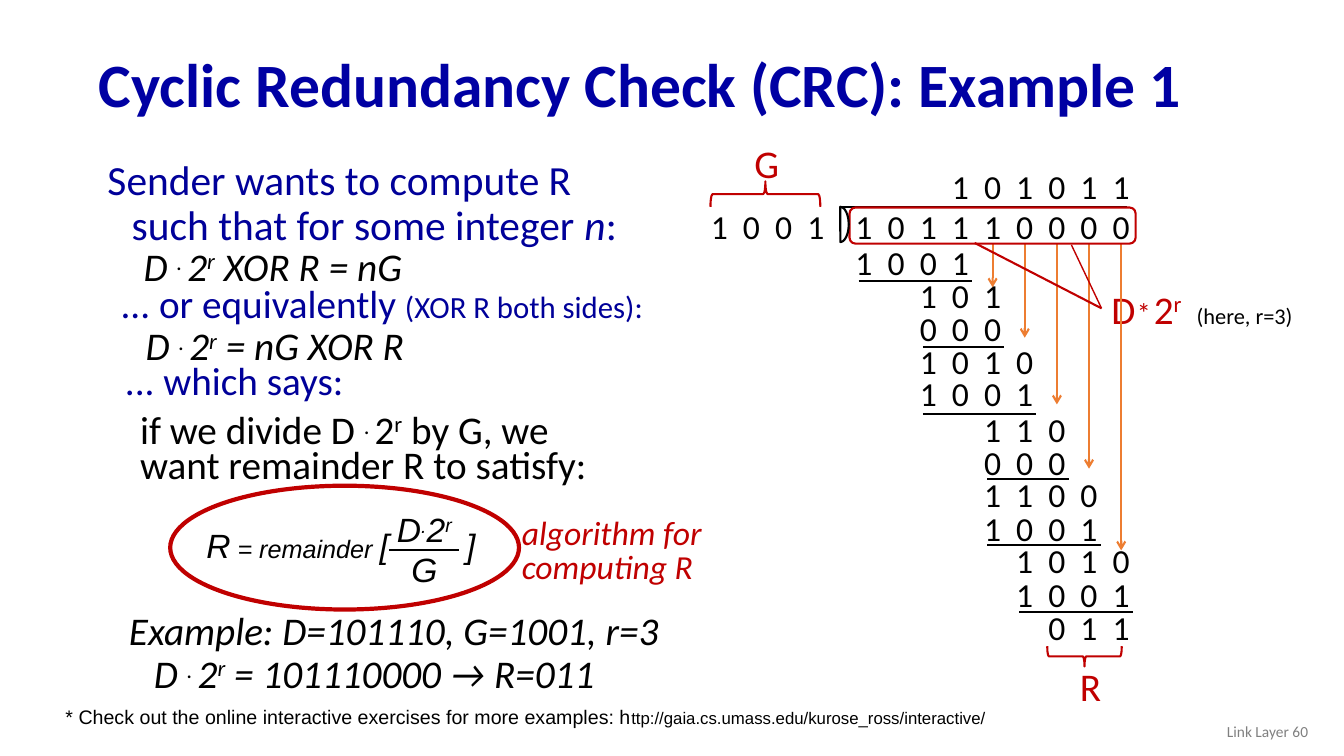
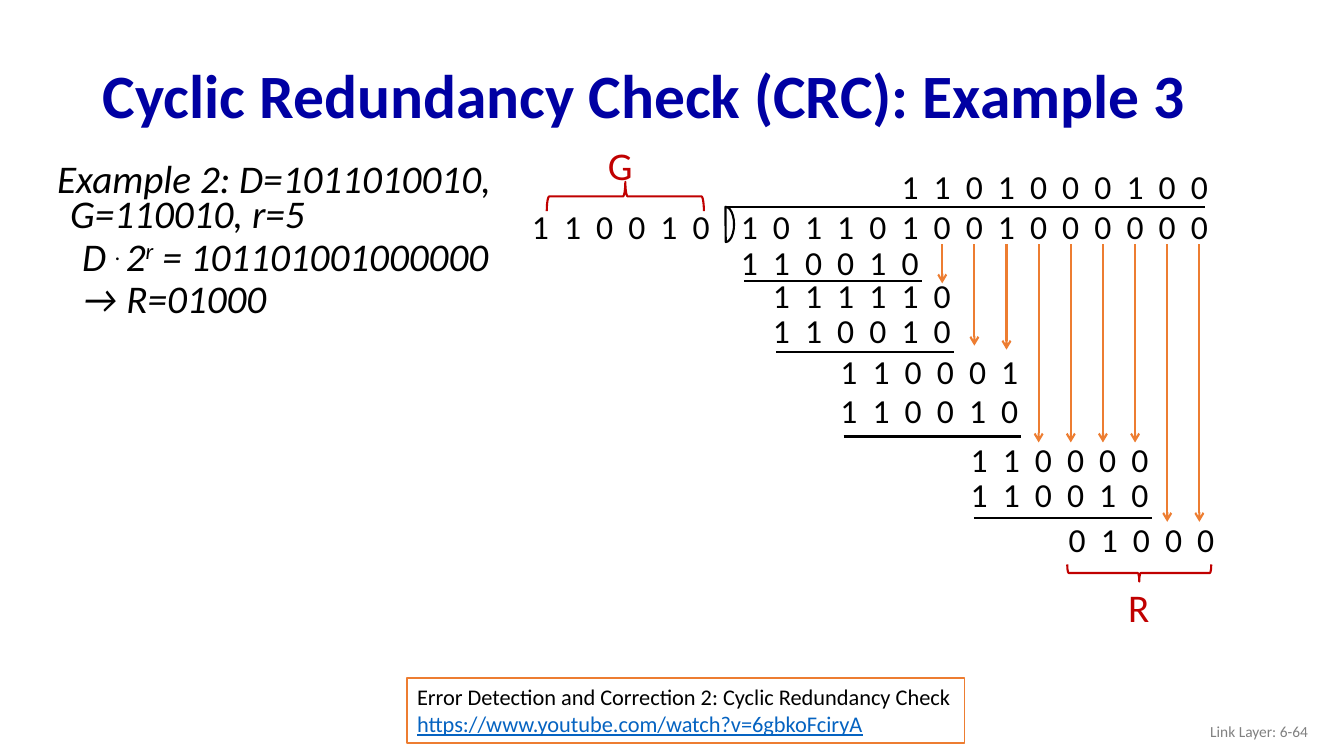
from lxml import etree
from pptx import Presentation
from pptx.dml.color import RGBColor as RGB
from pptx.enum.shapes import MSO_CONNECTOR as LINE, MSO_SHAPE as SHAPE
from pptx.enum.text import MSO_ANCHOR as ANCHOR, MSO_AUTO_SIZE as AUTO, PP_ALIGN as ALIGN
from pptx.oxml.ns import qn
from pptx.util import Cm, Pt

COLORS = {"title": "0000A3", "navy": "000099", "black": "000000", "red": "C00000",
          "orange": "ED7D31", "grey": "808080", "link": "0563C1", "white": "FFFFFF"}
RUN = {"size": 28, "name": "Calibri", "bold": False, "italic": False,
       "underline": False, "color": "black", "base": 0}
PITCH = 0.81          # distance between neighbouring bits
BIT_WIDTH = 0.43
BITS_TOP = 5.19       # row of divisor and dividend
BAR_Y = 5.21          # line above the dividend


def write(shape, paras, inset=None, anchor=ANCHOR.TOP, **base):
    """Fill a shape with paragraphs given as (runs, paragraph format)."""
    tf = shape.text_frame
    tf.word_wrap, tf.auto_size, tf.vertical_anchor = True, AUTO.NONE, anchor
    if inset is not None:
        for side in ("left", "top", "right", "bottom"):
            setattr(tf, f"margin_{side}", Cm(inset))
    for i, (runs, fmt) in enumerate(paras):
        p = tf.paragraphs[0] if i == 0 else tf.add_paragraph()
        pPr = p._p.get_or_add_pPr()
        for key, name in (("mar", "marL"), ("ind", "indent")):
            if key in fmt:
                pPr.set(name, str(Cm(fmt[key])))
        if "tabs" in fmt:
            tabs = etree.SubElement(pPr, qn("a:tabLst"))
            for pos in fmt["tabs"]:
                etree.SubElement(tabs, qn("a:tab"), pos=str(Cm(pos)), algn="l")
        p.alignment = fmt.get("align", ALIGN.LEFT)
        p.line_spacing = fmt.get("ls", 1.0)
        p.space_before = Pt(fmt.get("sb", 0))
        for text, change in [(runs, {})] if isinstance(runs, str) else runs:
            r = p.add_run()
            r.text = text
            style = {**RUN, **base, **change}
            for key in ("name", "bold", "italic", "underline"):
                setattr(r.font, key, style[key])
            r.font.size = Pt(style["size"])
            r.font.color.rgb = RGB.from_string(COLORS[style["color"]])
            if style["base"]:
                r._r.get_or_add_rPr().set("baseline", str(style["base"] * 1000))


def draw_line(s, x1, y1, x2, y2, color="black", width=1.5, arrow=False):
    c = s.shapes.add_connector(LINE.STRAIGHT, Cm(x1), Cm(y1), Cm(x2), Cm(y2))
    c.line.color.rgb = RGB.from_string(COLORS[color])
    c.line.width = Pt(width)
    if arrow:
        etree.SubElement(c.line._get_or_add_ln(), qn("a:tailEnd"), type="arrow")
    etree.SubElement(c._element.spPr, qn("a:effectLst"))


# Contents of the long divisions: rows are (column, top, bits, y of rule below),
# braces are (centre x, centre y, span, depth, rotation, label, label x, label top)
DIVISIONS = [
    {"title": "Cyclic Redundancy Check (CRC): Example 1", "title_at": (2.24, 0.97),
     "footer": "Link Layer 60", "left": 21.56,
     "divisor": "1001", "dividend": "101110000",
     "rows": [(3, 4.17, "101011", None),
              (0, 6.1, "1001", 7.09), (2, 6.93, "101", None),
              (2, 7.77, "000", 8.74), (2, 8.59, "1010", None),
              (2, 9.4, "1001", 10.44), (4, 10.31, "110", None),
              (4, 11.13, "000", 12.07), (4, 11.94, "1100", None),
              (4, 12.8, "1001", 13.74), (5, 13.61, "1010", None),
              (5, 14.45, "1001", 15.42), (6, 15.29, "011", None)],
     "first_arrow": 4, "arrow_ends": [7.24, 8.51, 10.19, 11.81, 13.87],
     "braces": [(19.29, 4.89, 2.77, 0.64, 270, "G", 19.32, 3.38),
                (27.33, 16.54, 1.88, 0.51, 90, "R", 27.48, 16.56)]},
    {"title": "Cyclic Redundancy Check (CRC): Example 3", "title_at": (2.34, 1.24),
     "footer": "Link Layer: 6-64", "left": 18.67,
     "divisor": "110010", "dividend": "101101001000000",
     "rows": [(5, 4.17, "1101000100", None),
              (0, 6.1, "110010", 7.09), (1, 6.93, "111110", None),
              (1, 7.82, "110010", 8.86), (3.1, 8.84, "110001", None),
              (3.1, 9.83, "110010", 11), (7.15, 11.07, "110000", None),
              (7.15, 11.94, "110010", 13.06), (10.2, 13.08, "01000", None)],
     "first_arrow": 6,
     "arrow_ends": [7.14, 8.71, 8.81] + [11.15] * 4 + [13.15] * 2,
     "braces": [(15.76, 4.95, 3.96, 0.74, 270, "G", 15.63, 3.43),
                (28.71, 14.44, 3.63, 0.43, 90, "R", 28.7, 14.58)]},
]

# Left-hand texts: (box, paragraphs, run format)
D_2R = [("D ", {}), (". ", {"base": 26}), ("2", {}), ("r", {"base": 30})]
ITALIC_D_2R = [(t, {**f, "color": "black", "italic": True, "size": 28}) for t, f in D_2R]
BLACK_ITALIC = {"color": "black", "italic": True, "size": 28}
HEAD = {"mar": 0.99, "ind": -0.33, "ls": 0.75}
FORMULA = {"mar": 1.93, "ind": -0.64, "ls": 0.75, "sb": 5}
TEXTS = [
    [((2.08, 3.91, 14.2, 3.71),
      [([("Sender wants to compute R such that for some integer ", {}),
         ("n", {"italic": True}), (":", {})], {"mar": 0.99, "ind": -0.61, "ls": 0.9}),
       (ITALIC_D_2R + [(" XOR R = nG", BLACK_ITALIC)], {**FORMULA, "ls": 0.65})],
      {"size": 29.6, "color": "navy"}),
     ((2.13, 7.19, 14.58, 2.44),
      [([("... or equivalently ", {}), ("(XOR R both sides):", {"size": 22})], HEAD),
       (ITALIC_D_2R + [(" = nG XOR R", BLACK_ITALIC)], FORMULA)],
      {"color": "navy"}),
     ((2.01, 9.12, 13.84, 3.48),
      [([("... which says:", {"color": "navy"})], {**HEAD, "ind": -0.1}),
       (D_2R + [(" by G, we want remainder R to satisfy:", {})],
        {"mar": 1.27, "ind": 0, "ls": 0.75, "sb": 10})], {}),
     ((8.84, 12.7, 3.71, 2.29),
      [([("D", {}), (".", {"base": 26}), ("2", {}), ("r", {"base": 30})],
        {"align": ALIGN.CENTER}),
       ("G", {"align": ALIGN.CENTER})],
      {"size": 24, "name": "Arial", "italic": True}),
     ((4.95, 13.11, 7.75, 1.32),
      [([("R", {}), (" = remainder ", {"size": 18}), ("[\t]", {})], {"tabs": [6.55]})],
      {"size": 24, "name": "Arial", "italic": True}),
     ((12.9, 12.93, 5.28, 2.01),
      [("algorithm for", {"ls": 0.85}), ("computing R", {"ls": 0.85})],
      {"size": 24, "color": "red", "italic": True}),
     ((2.34, 15.44, 14.58, 2.44),
      [("Example: D=101110, G=1001, r=3", HEAD),
       (D_2R + [(" = 101110000 → R=011", {})], FORMULA)], {"italic": True}),
     ((1.4, 17.65, 26.49, 0.86),
      [([("* Check out the online interactive exercises for more examples: h", {"size": 14}),
         ("ttp://gaia.cs.umass.edu/kurose_ross/interactive/", {})], {})],
      {"size": 12, "name": "Arial"}),
     ((27.76, 7.06, 1.12, 1.45), [("D", {})], {"color": "red"}),
     ((28.4, 7.32, 0.86, 1.12), [("*", {})], {"size": 20, "color": "red"}),
     ((28.83, 7.06, 4.6, 1.45),
      [([("2", {}), ("r", {"base": 30}),
         ("\t(here, r=3)", {"size": 16, "color": "black"})], {"tabs": [1.08]})],
      {"color": "red"})],
    [((0.53, 4.04, 14.58, 6.96),
      [("Example 2: D=1011010010, G=110010, r=5", HEAD),
       (D_2R + [(" = 101101001000000", {})], FORMULA),
       ("→ R=01000", FORMULA)], {"italic": True})],
]
# "if we divide" leads the third text of the first slide
TEXTS[0][2][1][1][0].insert(0, ("if we divide ", {}))

# Outlines that only the first slide has: (kind, box, rotation, colour, width)
OUTLINES = [
    [(SHAPE.ROUNDED_RECTANGLE, (21.41, 5.23, 7.21, 0.91), 0, "red", 1.5),
     (SHAPE.OVAL, (4.29, 12.24, 8.79, 3.12), 0, "red", 3)],
    [],
]

prs = Presentation()
prs.slide_width, prs.slide_height = Cm(33.87), Cm(19.05)
slides = []

for d, texts, outlines in zip(DIVISIONS, TEXTS, OUTLINES):
    s = prs.slides.add_slide(prs.slide_layouts[5])
    slides.append(s)
    left = d["left"]

    # Title and footer
    title = s.shapes.title
    title.left, title.top = map(Cm, d["title_at"])
    title.width, title.height = Cm(29.21), Cm(2.49)
    write(title, [(d["title"], {"ls": 0.9})], anchor=ANCHOR.MIDDLE,
          size=44, bold=True, color="title")
    footer = s.shapes.add_textbox(Cm(25.6), Cm(17.91), Cm(7.62), Cm(1.02))
    write(footer, [(d["footer"], {"align": ALIGN.RIGHT})], anchor=ANCHOR.MIDDLE,
          size=11, color="grey")

    # Explanations
    for box, paras, fmt in texts:
        write(s.shapes.add_textbox(*map(Cm, box)), paras, **fmt)

    # Bits on the column grid, with the rules below them
    divisor, dividend = d["divisor"], d["dividend"]
    for col, top, bits, rule_y in d["rows"] + [
            (-len(divisor) - 0.5, BITS_TOP, divisor, None), (0, BITS_TOP, dividend, None)]:
        x, n = left + col * PITCH, len(bits)
        sp = s.shapes.add_textbox(Cm(x), Cm(top), Cm(n * PITCH), Cm(1.03))
        stops = [i * PITCH for i in range(1, n)]
        write(sp, [("\t".join(bits), {"tabs": stops})], inset=0, size=24)
        if rule_y:
            start = x + 0.08
            draw_line(s, start, rule_y, start + (n - 1) * PITCH + BIT_WIDTH, rule_y)

    # Division bar and arrows for the bits brought down
    draw_line(s, left - 0.36, BAR_Y, left + len(dividend) * PITCH - 0.45, BAR_Y)
    for col, end in enumerate(d["arrow_ends"], d["first_arrow"]):
        x = left + col * PITCH + BIT_WIDTH / 2
        draw_line(s, x, 6.15, x, end, "orange", arrow=True)

    # Brace labels and outlined shapes
    outlines = outlines + [(SHAPE.PIE, (left - 0.83, 5.44, 0.89, 0.43), 270, "black", 1.5)]
    for cx, cy, span, depth, turn, label, label_x, label_top in d["braces"]:
        outlines.append((SHAPE.RIGHT_BRACE, (cx - depth / 2, cy - span / 2, depth, span),
                         turn, "red", 1.5))
        sp = s.shapes.add_textbox(Cm(label_x - 0.6), Cm(label_top), Cm(1.2), Cm(1.45))
        write(sp, [(label, {"align": ALIGN.CENTER})], color="red")
    for kind, box, turn, color, width in outlines:
        sp = s.shapes.add_shape(kind, *map(Cm, box))
        sp.shadow.inherit = False
        sp.rotation = turn
        sp.fill.background()
        sp.line.color.rgb = RGB.from_string(COLORS[color])
        sp.line.width = Pt(width)
        if kind == SHAPE.PIE:
            sp.adjustments[0], sp.adjustments[1] = 0, 107.54

# First slide: fraction bar and pointers to the dividend
draw_line(slides[0], 9.8, 13.87, 11.56, 13.87)
for x, y, width in ((24.56, 6.12, 1.5), (27, 6.17, 1)):
    draw_line(slides[0], x, y, 27.76, 7.77, "red", width)

# Second slide: video reference
video = slides[1].shapes.add_shape(SHAPE.RECTANGLE, Cm(10.26), Cm(17.09), Cm(14.05), Cm(1.63))
video.shadow.inherit = False
video.fill.solid()
video.fill.fore_color.rgb = RGB.from_string(COLORS["white"])
video.line.color.rgb = RGB.from_string(COLORS["orange"])
video.line.width = Pt(1)
write(video, [("Error Detection and Correction 2: Cyclic Redundancy Check", {}),
              ([("https://www.youtube.com/watch?v=6gbkoFciryA",
                 {"color": "link", "underline": True})], {})], size=16)

prs.save("out.pptx")
